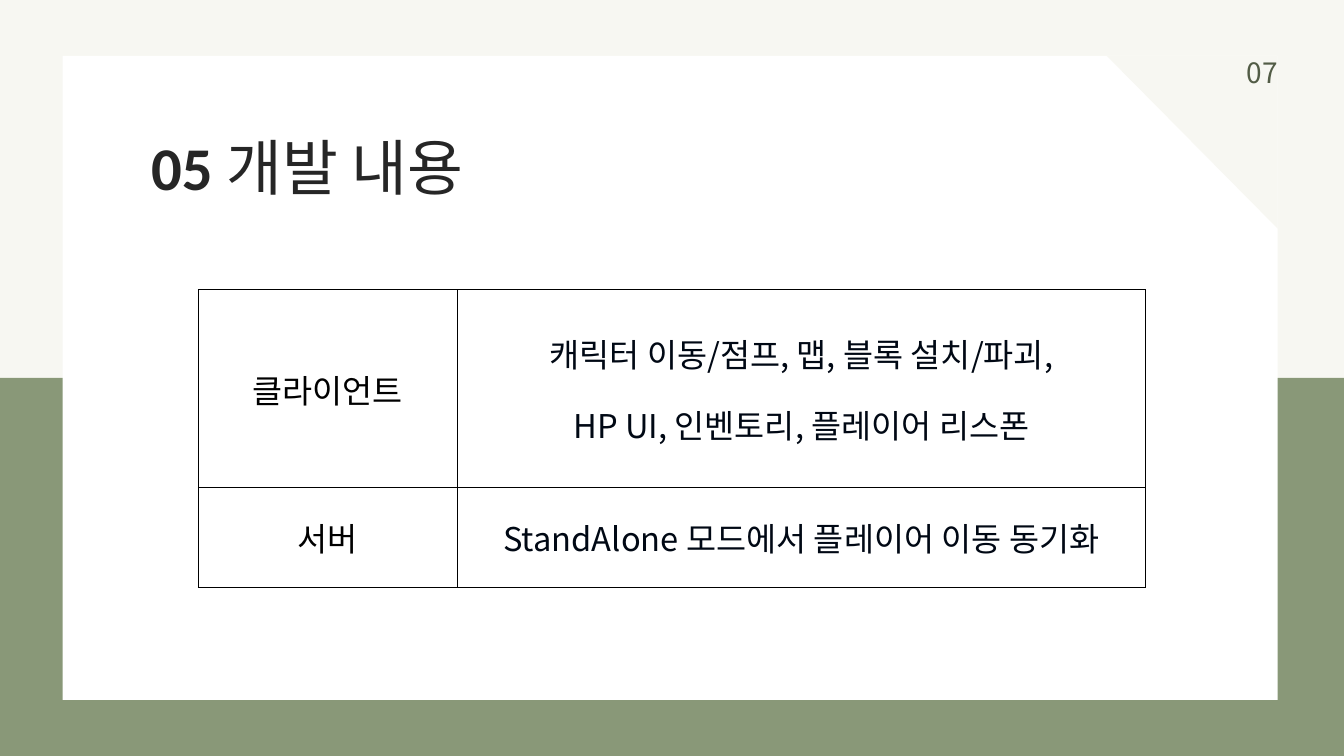
"""Build the development summary slide with its two-row table."""
import lxml.etree
import pptx
import pptx.dml.color
import pptx.enum.shapes
import pptx.enum.text
import pptx.oxml
import pptx.oxml.ns
import pptx.util

Pt = pptx.util.Pt
SHAPE = pptx.enum.shapes.MSO_SHAPE
ALIGN = pptx.enum.text.PP_ALIGN
MIDDLE = pptx.enum.text.MSO_ANCHOR.MIDDLE
qn = pptx.oxml.ns.qn

COLORS = {
    "cream": "F7F7F2",
    "green": "899878",
    "white": "FFFFFF",
    "title": "262626",
    "number": "525C46",
    "black": "000000",
    "navy": "000814",
}
NOTO = "Noto Sans CJK KR"
ROWS = [
    ("클라이언트", ["캐릭터 이동/점프, 맵, 블록 설치/파괴,", "HP UI, 인벤토리, 플레이어 리스폰"]),
    ("서버", ["StandAlone 모드에서 플레이어 이동 동기화"]),
]


def tint(name):
    return pptx.dml.color.RGBColor.from_string(COLORS[name])


def add_panel(slide, kind, box, color, turn=0):
    panel = slide.shapes.add_shape(kind, *map(Pt, box))
    panel.shadow.inherit = False
    panel.fill.solid()
    panel.fill.fore_color.rgb = tint(color)
    panel.line.fill.background()
    panel.rotation = turn


def add_run(para, text, size, color, face=NOTO, bold=False):
    run = para.add_run()
    run.text = text
    font = run.font
    font.size, font.bold, font.name = Pt(size), bold, face
    font.color.rgb = tint(color)
    east = lxml.etree.SubElement(run._r.get_or_add_rPr(), qn("a:ea"))
    east.set("typeface", face)


def add_label(slide, box):
    frame = slide.shapes.add_textbox(*map(Pt, box)).text_frame
    frame.word_wrap = True
    frame.margin_left = frame.margin_right = 0
    frame.margin_top = frame.margin_bottom = 0
    return frame.paragraphs[0]


def add_edges(cell):
    props = cell._tc.get_or_add_tcPr()
    for place, side in enumerate(("a:lnL", "a:lnR", "a:lnT", "a:lnB")):
        line = lxml.etree.Element(qn(side), w=str(Pt(1)))
        fill = lxml.etree.SubElement(line, qn("a:solidFill"))
        lxml.etree.SubElement(fill, qn("a:srgbClr"), val=COLORS["black"])
        props.insert(place, line)


def fill_cell(cell, lines, color):
    cell.fill.background()
    cell.vertical_anchor = MIDDLE
    add_edges(cell)
    frame = cell.text_frame
    for place, text in enumerate(lines):
        para = frame.add_paragraph() if place else frame.paragraphs[0]
        para.alignment = ALIGN.CENTER
        if place:
            para.line_spacing = 1.5
        add_run(para, text, 35, color)


def add_grid(slide):
    widths, heights = (277.2, 738), (212.4, 106.56)
    box = (212.4, 310.32, sum(widths), sum(heights))
    table = slide.shapes.add_table(len(ROWS), 2, *map(Pt, box)).table
    table.first_row = table.horz_banding = False
    for column, width in zip(table.columns, widths):
        column.width = Pt(width)
    for place, (label, lines) in enumerate(ROWS):
        table.rows[place].height = Pt(heights[place])
        fill_cell(table.cell(place, 0), [label], "black")
        fill_cell(table.cell(place, 1), lines, "navy")


def main():
    deck = pptx.Presentation()
    deck.slide_width, deck.slide_height = Pt(1440), Pt(810)
    slide = deck.slides.add_slide(deck.slide_layouts[6])
    slide.background.fill.solid()
    slide.background.fill.fore_color.rgb = tint("cream")

    add_panel(slide, SHAPE.RECTANGLE, (-33, 405, 1502.5, 421), "green")
    add_panel(slide, SHAPE.RECTANGLE, (67, 60, 1302, 690), "white")

    title = add_label(slide, (162, 98.64, 882, 108))
    title.line_spacing = Pt(119)
    add_run(title, "05 ", 65, "title", "Calibri", True)
    add_run(title, "개발 내용", 65, "title", "Calibri")

    add_grid(slide)
    add_panel(slide, SHAPE.RIGHT_TRIANGLE, (1186, 60, 183, 185), "cream", 180)

    number = add_label(slide, (1272, 60, 97, 36))
    number.alignment = ALIGN.RIGHT
    add_run(number, "07", 30, "number")
    deck.save("out.pptx")


if __name__ == "__main__":
    main()
